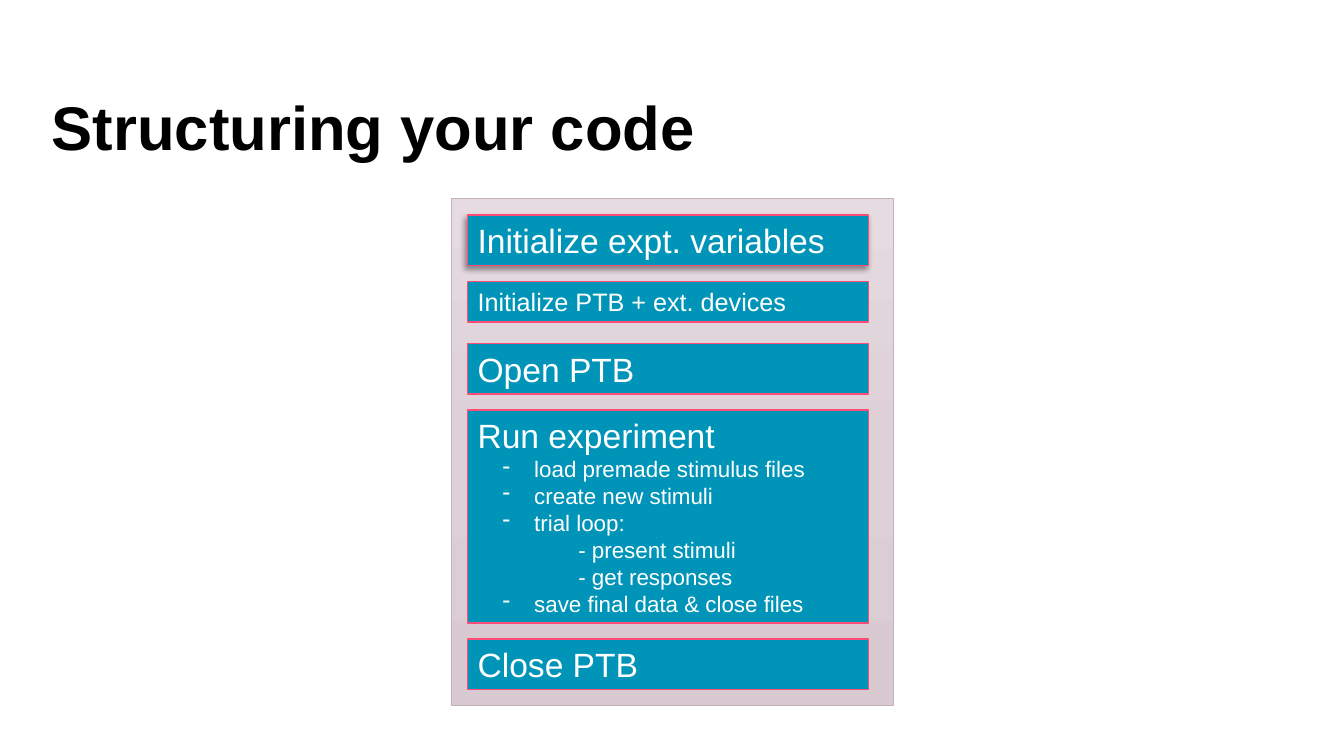
from copy import deepcopy
from lxml import etree
from pptx import Presentation
from pptx import oxml
from pptx import util as u
from pptx.dml import color
from pptx.enum import shapes, text

HUES = {
    "ink": "000000", "white": "FFFFFF", "teal": "0094B8", "pink": "FF4D77",
    "edge": "C6B0BC", "top": "E5DBE0", "mid": "DDD0D7", "base": "D9CAD2",
}
NS = "http://schemas.openxmlformats.org/drawingml/2006/main"

STEPS = [
    ("Initialize expt. variables", 24, 11.5, 36, []),
    ("Initialize PTB + ext. devices", 18, 59, 29, []),
    ("Open PTB", 24, 103.5, 36, []),
    ("Run experiment", 24, 151, 152, [
        ("load premade stimulus files", True),
        ("create new stimuli", True),
        ("trial loop:", True),
        ("- present stimuli", False),
        ("- get responses", False),
        ("save final data & close files", True),
    ]),
    ("Close PTB", 24, 314.5, 36, []),
]


def hue(name):
    return color.RGBColor.from_string(HUES[name])


def write(para, words, size, tint="white", bold=False, left=0, hang=0, mark=None):
    props = para._p.get_or_add_pPr()
    props.set("marL", str(u.Pt(left)))
    props.set("indent", str(u.Pt(-hang)))
    if mark:
        etree.SubElement(props, f"{{{NS}}}buChar").set("char", mark)
    para.alignment = text.PP_ALIGN.LEFT
    run = para.add_run()
    run.text = words
    font = run.font
    font.name, font.size, font.bold = "Arial", u.Pt(size), bold
    font.color.rgb = hue(tint)


def title(slide, x, y, w, h):
    frame = slide.shapes.add_textbox(*map(u.Pt, (x, y, w, h))).text_frame
    frame.word_wrap = True
    para = frame.paragraphs[0]
    write(para, "Structuring your code", 44, "ink", bold=True)
    para.line_spacing = 0.9


def rect(group, x, y, w, h, line, width):
    shape = group.shapes.add_shape(
        shapes.MSO_SHAPE.RECTANGLE, *map(u.Pt, (x, y, w, h)))
    shape.shadow.inherit = False
    shape.line.color.rgb = hue(line)
    shape.line.width = u.Pt(width)
    return shape


def shade(shape):
    fill = shape.fill
    fill.gradient()
    fill.gradient_angle = 270
    first = fill.gradient_stops[0]._gs
    first.addnext(deepcopy(first))
    looks = zip(fill.gradient_stops, ("top", "mid", "base"), (0, 0.5, 1))
    for stop, name, place in looks:
        stop.color.rgb = hue(name)
        stop.position = place


def lift(shape):
    effect = shape._element.spPr.find(f"{{{NS}}}effectLst")
    effect.append(oxml.parse_xml(
        f'<a:outerShdw xmlns:a="{NS}" blurRad="{u.Pt(4)}" dist="{u.Pt(3)}" '
        f'dir="8100000" algn="tl" rotWithShape="0"><a:srgbClr val="{HUES["ink"]}">'
        '<a:alpha val="40000"/></a:srgbClr></a:outerShdw>'))


def step(group, x, y, w, h, head, size, items):
    shape = rect(group, x, y, w, h, "pink", 1)
    shape.fill.solid()
    shape.fill.fore_color.rgb = hue("teal")
    frame = shape.text_frame
    frame.word_wrap = True
    frame.auto_size = text.MSO_AUTO_SIZE.SHAPE_TO_FIT_TEXT
    frame.vertical_anchor = text.MSO_ANCHOR.TOP
    write(frame.paragraphs[0], head, size)
    for words, dash in items:
        look = dict(left=40.5, hang=22.5, mark="-") if dash else dict(left=72)
        write(frame.add_paragraph(), words, 16, **look)
    return shape


def panel(slide, x, y, w, h):
    group = slide.shapes.add_group_shape()
    shade(rect(group, x, y, w, h, "edge", 0.5))
    boxes = [step(group, x + 11.5, y + top, w - 29, high, head, size, items)
             for head, size, top, high, items in STEPS]
    lift(boxes[0])


def main():
    deck = Presentation()
    deck.slide_width, deck.slide_height = u.Pt(960), u.Pt(540)
    slide = deck.slides.add_slide(deck.slide_layouts[6])
    title(slide, 30, 66, 836, 109)
    panel(slide, 322.5, 142, 315.5, 362)
    deck.save("out.pptx")


if __name__ == "__main__":
    main()
